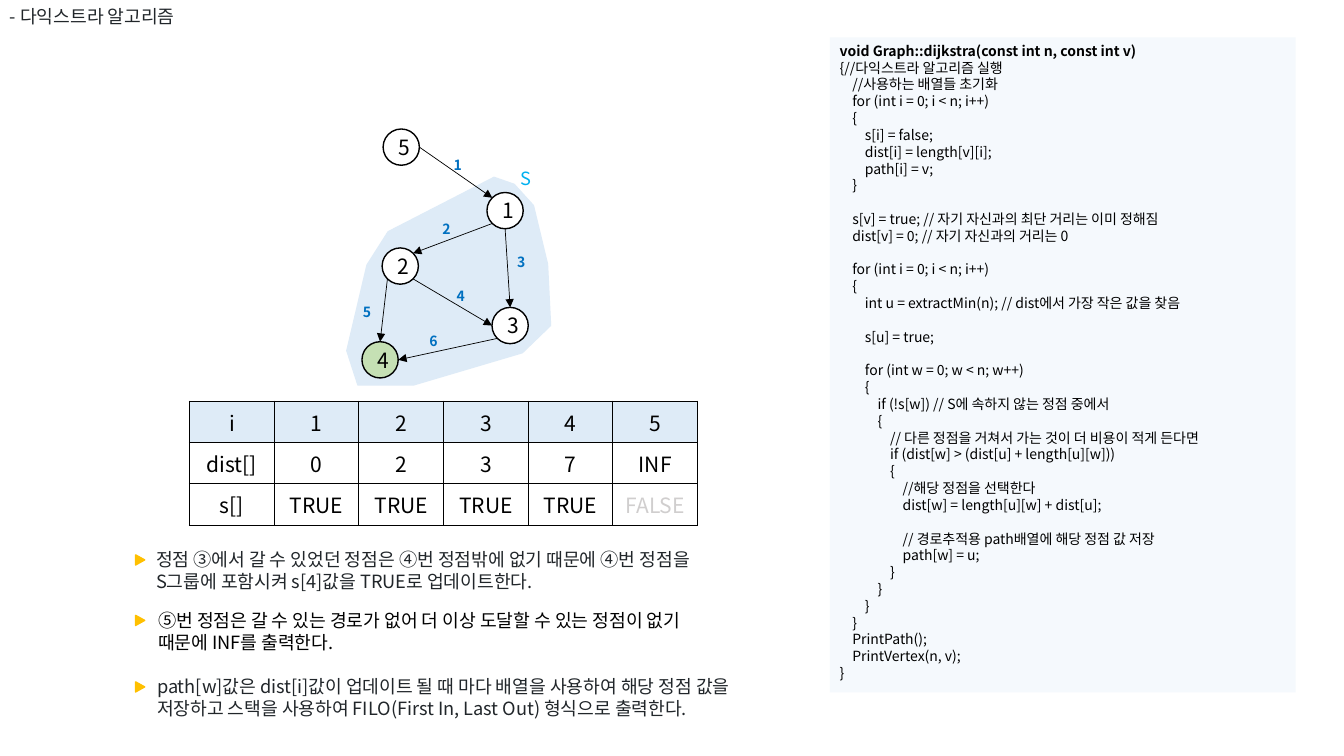
from math import cos, radians, sin

from lxml import etree
from pptx import Presentation
from pptx.dml.color import RGBColor
from pptx.enum.shapes import MSO_CONNECTOR, MSO_SHAPE
from pptx.enum.text import MSO_ANCHOR, MSO_AUTO_SIZE, PP_ALIGN
from pptx.oxml.ns import qn
from pptx.util import Inches, Pt

CENTER, LEFT = PP_ALIGN.CENTER, PP_ALIGN.LEFT
MIDDLE, TOP = MSO_ANCHOR.MIDDLE, MSO_ANCHOR.TOP
GROW = MSO_AUTO_SIZE.SHAPE_TO_FIT_TEXT
STRAIGHT = MSO_CONNECTOR.STRAIGHT
OVAL, RECTANGLE, TRIANGLE = MSO_SHAPE.OVAL, MSO_SHAPE.RECTANGLE, MSO_SHAPE.ISOSCELES_TRIANGLE
FONT = "Noto Sans CJK KR"
BLACK, WHITE, DARK, BLUE, PALE, AMBER = "000000", "FFFFFF", "21262A", "0070C0", "DEEBF7", "FFC000"


def color(value):
    return RGBColor.from_string(value)


def write(paragraph, text, size, ink, bold=False, align=LEFT):
    paragraph.text = text
    paragraph.alignment = align
    for run in paragraph.runs:
        for name, value in {"name": FONT, "size": Pt(size), "bold": bold}.items():
            setattr(run.font, name, value)
        run.font.color.rgb = color(ink)
        east_asian = etree.SubElement(run.font._element, qn("a:ea"))
        east_asian.set("typeface", FONT)


presentation = Presentation()
presentation.slide_width, presentation.slide_height = Inches(13.33), Inches(7.5)
slide = presentation.slides.add_slide(presentation.slide_layouts[6])
shapes = slide.shapes

# Region of the visited group S
region_points = [(4.9, 1.76), (3.85, 2.3), (3.64, 2.63), (3.44, 3.48), (3.55, 3.82), (4.1, 3.82),
                 (5.18, 3.5), (5.46, 3.23), (5.43, 2.62), (5.29, 2.04), (5.1, 1.83)]
corners = [(Inches(x), Inches(y)) for x, y in region_points]
builder = shapes.build_freeform(*corners[0])
builder.add_line_segments(corners[1:], close=True)
region = builder.convert_to_shape()
region.shadow.inherit = False
region.fill.solid()
region.fill.fore_color.rgb = color(PALE)
region.line.color.rgb = color(PALE)
region.line.width = Pt(1)

# Distance table
rows = [["i", "1", "2", "3", "4", "5"],
        ["dist[]", "0", "2", "3", "7", "INF"],
        ["s[]", "TRUE", "TRUE", "TRUE", "TRUE", "FALSE"]]
table = shapes.add_table(3, 6, Inches(1.88), Inches(3.98), Inches(5.04), Inches(1.23)).table
table.first_row = table.horz_banding = False
for column in table.columns:
    column.width = Inches(0.84)
for row_index, values in enumerate(rows):
    table.rows[row_index].height = Inches(0.41)
    for column_index, value in enumerate(values):
        cell = table.cell(row_index, column_index)
        cell.vertical_anchor = MIDDLE
        ink = "D0CECE" if value == "FALSE" else BLACK
        write(cell.text_frame.paragraphs[0], value, 15, ink, align=CENTER)
        properties = cell._tc.get_or_add_tcPr()
        for side in ("a:lnL", "a:lnR", "a:lnT", "a:lnB"):
            border = etree.SubElement(properties, qn(side), w=str(Pt(1)))
            border_fill = etree.SubElement(border, qn("a:solidFill"))
            etree.SubElement(border_fill, qn("a:srgbClr"), val=BLACK)
        if row_index == 0:
            cell.fill.solid()
            cell.fill.fore_color.rgb = color(PALE)
        else:
            cell.fill.background()

# Graph vertices, by centre
RADIUS = 0.18
vertices = {5: (3.98, 1.46), 1: (5.01, 2.09), 2: (3.97, 2.64), 3: (5.06, 3.23), 4: (3.77, 3.57)}
for number, (x, y) in vertices.items():
    vertex = shapes.add_shape(OVAL, Inches(x - RADIUS), Inches(y - RADIUS),
                              Inches(2 * RADIUS), Inches(2 * RADIUS))
    vertex.shadow.inherit = False
    vertex.fill.solid()
    vertex.fill.fore_color.rgb = color("C5E0B4" if number == 4 else WHITE)
    vertex.line.color.rgb = color(BLACK)
    vertex.line.width = Pt(1)
    vertex.text_frame.vertical_anchor = MIDDLE
    write(vertex.text_frame.paragraphs[0], str(number), 15, BLACK, align=CENTER)

# Graph edges: start vertex and angle, end vertex and angle (clockwise from the right)
edges = [(5, 0, 1, 225), (1, 90, 3, 270), (1, 135, 2, 315),
         (2, 135, 4, 270), (3, 135, 4, 0), (2, 45, 3, 180)]
for start, start_angle, end, end_angle in edges:
    ends = []
    for number, angle in ((start, start_angle), (end, end_angle)):
        x, y = vertices[number]
        ends += [Inches(x + RADIUS * cos(radians(angle))), Inches(y + RADIUS * sin(radians(angle)))]
    edge = shapes.add_connector(STRAIGHT, *ends)
    edge.line.color.rgb = color(BLACK)
    edge.line.width = Pt(0.5)
    etree.SubElement(edge.line._get_or_add_ln(), qn("a:tailEnd"), type="triangle")
    etree.SubElement(edge._element.spPr, qn("a:effectLst"))

# Title, group name, edge weights and notes
texts = [
    ("- 다익스트라 알고리즘", 0, 0, 1.87, 0.32, 13, DARK, False, False),
    ("S", 5.06, 1.61, 0.31, 0.32, 13, "00B0F0", False, False),
    ("정점 ③에서 갈 수 있었던 정점은 ④번 정점밖에 없기 때문에 ④번 정점을 \v"
     "S그룹에 포함시켜 s[4]값을 TRUE로 업데이트한다.", 1.45, 5.39, 5.82, 0.54, 13, DARK, False, True),
    ("⑤번 정점은 갈 수 있는 경로가 없어 더 이상 도달할 수 있는 정점이 없기 \v"
     "때문에 INF를 출력한다.", 1.47, 6, 5.8, 0.54, 13, BLACK, False, True),
    ("path[w]값은 dist[i]값이 업데이트 될 때 마다 배열을 사용하여 해당 정점 값을 \v"
     "저장하고 스택을 사용하여 FILO(First In, Last Out) 형식으로 출력한다.",
     1.46, 6.65, 6.4, 0.54, 13, DARK, False, True),
]
weights = [("1", 4.4, 1.5), ("2", 4.29, 2.14), ("3", 5.03, 2.47),
           ("4", 4.43, 2.8), ("6", 4.16, 3.25), ("5", 3.5, 2.96)]
texts += [(*weight, 0.29, 0.27, 10, BLUE, True, False) for weight in weights]
for text, left, top, width, height, size, ink, bold, wrap in texts:
    box = shapes.add_textbox(Inches(left), Inches(top), Inches(width), Inches(height))
    box.text_frame.word_wrap = wrap
    box.text_frame.auto_size = GROW
    write(box.text_frame.paragraphs[0], text, size, ink, bold)

# Note markers
for top in (5.51, 6.11, 6.77):
    marker = shapes.add_shape(TRIANGLE, Inches(1.34), Inches(top), Inches(0.1), Inches(0.09))
    marker.rotation = 90
    marker.shadow.inherit = False
    marker.fill.solid()
    marker.fill.fore_color.rgb = color(AMBER)
    marker.line.color.rgb = color(AMBER)
    marker.line.width = Pt(1)

# Code panel: each tab is one indent level, each empty line a gap
code = """void Graph::dijkstra(const int n, const int v)
{//다익스트라 알고리즘 실행
\t//사용하는 배열들 초기화
\tfor (int i = 0; i < n; i++)
\t{
\t\ts[i] = false;
\t\tdist[i] = length[v][i];
\t\tpath[i] = v;
\t}

\ts[v] = true; // 자기 자신과의 최단 거리는 이미 정해짐
\tdist[v] = 0; // 자기 자신과의 거리는 0

\tfor (int i = 0; i < n; i++)
\t{
\t\tint u = extractMin(n); // dist에서 가장 작은 값을 찾음

\t\ts[u] = true;

\t\tfor (int w = 0; w < n; w++)
\t\t{
\t\t\tif (!s[w]) // S에 속하지 않는 정점 중에서
\t\t\t{
\t\t\t\t// 다른 정점을 거쳐서 가는 것이 더 비용이 적게 든다면
\t\t\t\tif (dist[w] > (dist[u] + length[u][w]))
\t\t\t\t{
\t\t\t\t\t//해당 정점을 선택한다
\t\t\t\t\tdist[w] = length[u][w] + dist[u];

\t\t\t\t\t// 경로추적용 path배열에 해당 정점 값 저장
\t\t\t\t\tpath[w] = u;
\t\t\t\t}
\t\t\t}
\t\t}
\t}
\tPrintPath();
\tPrintVertex(n, v);
}"""
panel = shapes.add_shape(RECTANGLE, Inches(8.23), Inches(0.37), Inches(4.62), Inches(6.5))
panel.shadow.inherit = False
panel.fill.solid()
panel.fill.fore_color.rgb = color("F5F9FD")
panel.line.fill.background()
frame = panel.text_frame
frame.word_wrap = True
frame.auto_size = GROW
frame.vertical_anchor = TOP
paragraph, gap = frame.paragraphs[0], 0
for index, line in enumerate(code.split("\n")):
    if not line:
        gap = 12
        continue
    if index:
        paragraph = frame.add_paragraph()
    text = line.lstrip("\t")
    write(paragraph, text, 10, BLACK, bold=index == 0)
    paragraph.space_before = Pt(gap)
    indent = Inches(0.125 * (len(line) - len(text)))
    paragraph._p.get_or_add_pPr().set("marL", str(indent))
    gap = 0

presentation.save("out.pptx")
